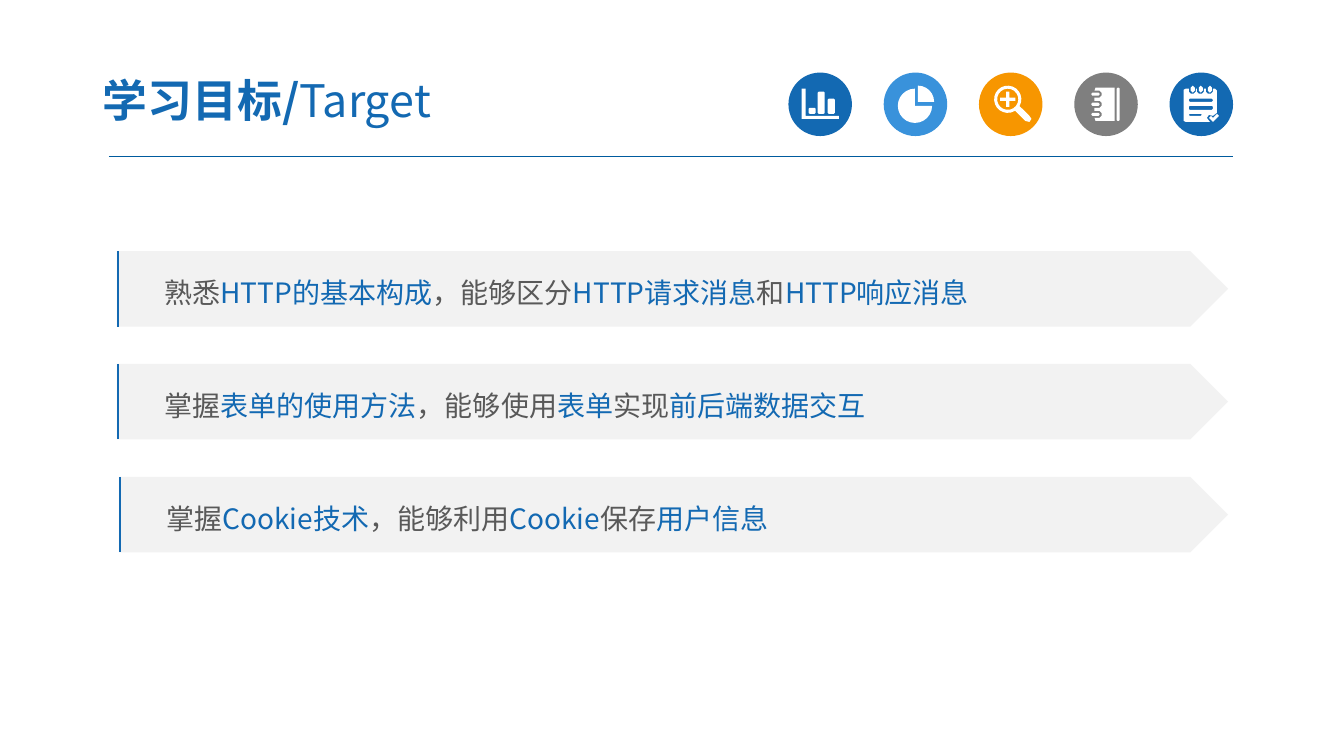
import math

from lxml import etree
from pptx import Presentation
from pptx import util as u
from pptx.dml.color import RGBColor
from pptx.enum import shapes as kinds, text as anchors
from pptx.oxml.ns import qn

FONT = "Noto Sans CJK SC"
BLUE, SKY, ORANGE, GRAY = "1369B2", "3992DB", "F79600", "7F7F7F"
WHITE, PALE, DARK, NAVY = "FFFFFF", "F2F2F2", "595959", "005B9E"
PRESET = kinds.MSO_SHAPE

GOALS = [
    (1.16, ["熟悉", "HTTP的基本构成", "，能够区分", "HTTP请求消息", "和", "HTTP响应消息"]),
    (1.16, ["掌握", "表单的使用方法", "，能够使用", "表单", "实现", "前后端数据交互"]),
    (1.18, ["掌握", "Cookie技术", "，能够利用", "Cookie", "保存", "用户信息"]),
]


def color(value):
    """Turn a hex string into a colour."""
    return RGBColor.from_string(value)


def paint(shape, fill):
    """Give a shape a plain fill with no line or shadow."""
    shape.shadow.inherit = False
    shape.fill.solid()
    shape.fill.fore_color.rgb = color(fill)
    shape.line.fill.background()
    return shape


def add_preset(slide, preset, left, top, width, height, fill):
    """Add a filled preset shape."""
    box = map(u.Inches, (left, top, width, height))
    return paint(slide.shapes.add_shape(preset, *box), fill)


def add_rule(slide, start, end, stroke, weight):
    """Draw a straight line between two points."""
    rule = slide.shapes.add_connector(
        kinds.MSO_CONNECTOR.STRAIGHT, *map(u.Inches, (*start, *end)))
    rule.line.color.rgb = color(stroke)
    rule.line.width = u.Pt(weight)
    etree.SubElement(rule._element.spPr, qn("a:effectLst"))


def add_run(paragraph, wording):
    """Add a run whose Latin and Chinese letters use the slide font."""
    run = paragraph.add_run()
    run.text = wording
    run.font.name = FONT
    etree.SubElement(run.font._element, qn("a:ea"), typeface=FONT)
    return run


def bar(left, top, width, height, cut=0.01):
    """Outline a bar with cut corners."""
    right, bottom = left + width, top + height
    return [(left + cut, top), (right - cut, top), (right, top + cut), (right, bottom - cut),
            (right - cut, bottom), (left + cut, bottom), (left, bottom - cut), (left, top + cut)]


def arc(x, y, radius, start, end, steps):
    """List points along an arc, in degrees clockwise from the right."""
    angles = [math.radians(start + (end - start) * i / steps) for i in range(steps + 1)]
    return [(x + radius * math.cos(a), y + radius * math.sin(a)) for a in angles]


def chart_outlines():
    """Outline a bar chart and its axes."""
    axes = [(0.13, 0.16), (0.17, 0.16), (0.17, 0.43), (0.5, 0.43), (0.5, 0.46), (0.13, 0.46)]
    return [axes, bar(0.2, 0.35, 0.07, 0.06), bar(0.29, 0.19, 0.07, 0.22),
            bar(0.39, 0.26, 0.07, 0.15)]


def pie_outlines():
    """Outline a pie with one slice pulled out."""
    return [[(0.34, 0.29)] + arc(0.34, 0.29, 0.16, -90, 0, 6),
            [(0.31, 0.33)] + arc(0.31, 0.33, 0.17, 0, 270, 18)]


def lens_outlines():
    """Outline a magnifier with a plus sign."""
    handle = [(0.36, 0.38), (0.46, 0.48), (0.5, 0.49), (0.52, 0.46), (0.5, 0.43), (0.41, 0.34)]
    plus = [(0.27, 0.19), (0.3, 0.19), (0.3, 0.25), (0.36, 0.25), (0.36, 0.28), (0.3, 0.28),
            (0.3, 0.34), (0.27, 0.34), (0.27, 0.28), (0.21, 0.28), (0.21, 0.25), (0.27, 0.25)]
    return [arc(0.285, 0.265, 0.135, 60, 390, 20) + handle[::-1],
            arc(0.285, 0.265, 0.105, 0, 345, 18), plus]


def notebook_outlines():
    """Outline a ring-bound notebook."""
    body = [(0.21, 0.15), (0.4, 0.15), (0.4, 0.48), (0.21, 0.48)]
    rings = []
    for top in (0.38, 0.28, 0.18):
        body += [(0.2, top + 0.07), (0.25, top + 0.07), (0.27, top + 0.05),
                 (0.27, top + 0.02), (0.25, top), (0.2, top)]
        rings.append(bar(0.17, top + 0.02, 0.08, 0.03))
    return [body, bar(0.42, 0.15, 0.03, 0.33)] + rings


def checklist_outlines():
    """Outline a notepad with rings, lines and a tick."""
    page = [(0.14, 0.17), (0.16, 0.16)]
    rings = []
    for left in (0.19, 0.27, 0.36):
        page += [(left, 0.16), (left, 0.19), (left + 0.02, 0.21), (left + 0.05, 0.21),
                 (left + 0.07, 0.19), (left + 0.07, 0.16)]
        rings.append(bar(left + 0.02, 0.13, 0.04, 0.07, 0.02))
    page += [(0.45, 0.16), (0.47, 0.18), (0.47, 0.4), (0.43, 0.43), (0.39, 0.42),
             (0.37, 0.45), (0.4, 0.49), (0.16, 0.49), (0.14, 0.48)]
    lines = [bar(0.19, 0.26, 0.24, 0.03), bar(0.19, 0.33, 0.24, 0.04),
             bar(0.19, 0.41, 0.13, 0.02)]
    tick = [(0.39, 0.45), (0.41, 0.43), (0.43, 0.45), (0.47, 0.41), (0.49, 0.43), (0.43, 0.49)]
    return [page] + lines + rings + [tick]


def add_icon(slide, left, top, outlines):
    """Draw the outlines of an icon as one white shape."""
    placed = [[(u.Inches(left + x), u.Inches(top + y)) for x, y in outline]
              for outline in outlines]
    icon = slide.shapes.build_freeform(*placed[0][0])
    for index, points in enumerate(placed):
        if index:
            icon.move_to(*points[0])
        icon.add_line_segments(points[1:], close=True)
    paint(icon.convert_to_shape(), WHITE)


def add_badges(slide, left, top, pitch, size):
    """Set the row of round icon badges."""
    badges = [(BLUE, chart_outlines), (SKY, pie_outlines), (ORANGE, lens_outlines),
              (GRAY, notebook_outlines), (BLUE, checklist_outlines)]
    for index, (fill, outlines) in enumerate(badges):
        x = left + index * pitch
        add_preset(slide, PRESET.OVAL, x, top, size, size, fill)
        add_icon(slide, x, top, outlines())


def add_title(slide, left, top, width, height):
    """Write the slide title."""
    title = slide.shapes.add_textbox(*map(u.Inches, (left, top, width, height)))
    frame = title.text_frame
    frame.word_wrap = True
    frame.vertical_anchor = anchors.MSO_ANCHOR.MIDDLE
    frame.margin_left = frame.margin_right = u.Inches(0.13)
    frame.margin_top = frame.margin_bottom = u.Inches(0.07)
    heading = frame.paragraphs[0]
    heading.font.size = u.Pt(32)
    heading.font.color.rgb = color(BLUE)
    for wording, bold in [("学习目标/", True), ("Target", False)]:
        add_run(heading, wording).font.bold = bold


def add_goal(slide, left, top, width, height, phrases):
    """Write one goal in an arrow banner, with every second phrase in blue."""
    banner = add_preset(slide, PRESET.PENTAGON, left, top, width, height, PALE)
    frame = banner.text_frame
    frame.word_wrap = True
    frame.vertical_anchor = anchors.MSO_ANCHOR.MIDDLE
    frame.margin_left = u.Inches(0.47)
    goal = frame.paragraphs[0]
    goal.alignment = anchors.PP_ALIGN.LEFT
    goal.line_spacing = 1.2
    goal.font.size = u.Pt(20)
    for index, phrase in enumerate(phrases):
        add_run(goal, phrase).font.color.rgb = color(BLUE if index % 2 else DARK)
    spine = left + 0.01
    add_rule(slide, (spine, top), (spine, top + height), BLUE, 1.5)


def main():
    """Build the learning goals slide."""
    deck = Presentation()
    deck.slide_width, deck.slide_height = u.Inches(13.33), u.Inches(7.5)
    slide = deck.slides.add_slide(deck.slide_layouts[6])
    add_rule(slide, (1.08, 1.55), (12.23, 1.55), NAVY, 0.75)
    add_badges(slide, 7.82, 0.72, 0.945, 0.63)
    add_title(slide, 0.89, 0.63, 5.22, 0.72)
    for index, (left, phrases) in enumerate(GOALS):
        add_goal(slide, left, 2.49 + 1.12 * index, 12.18 - left, 0.75, phrases)
    deck.save("out.pptx")


if __name__ == "__main__":
    main()
